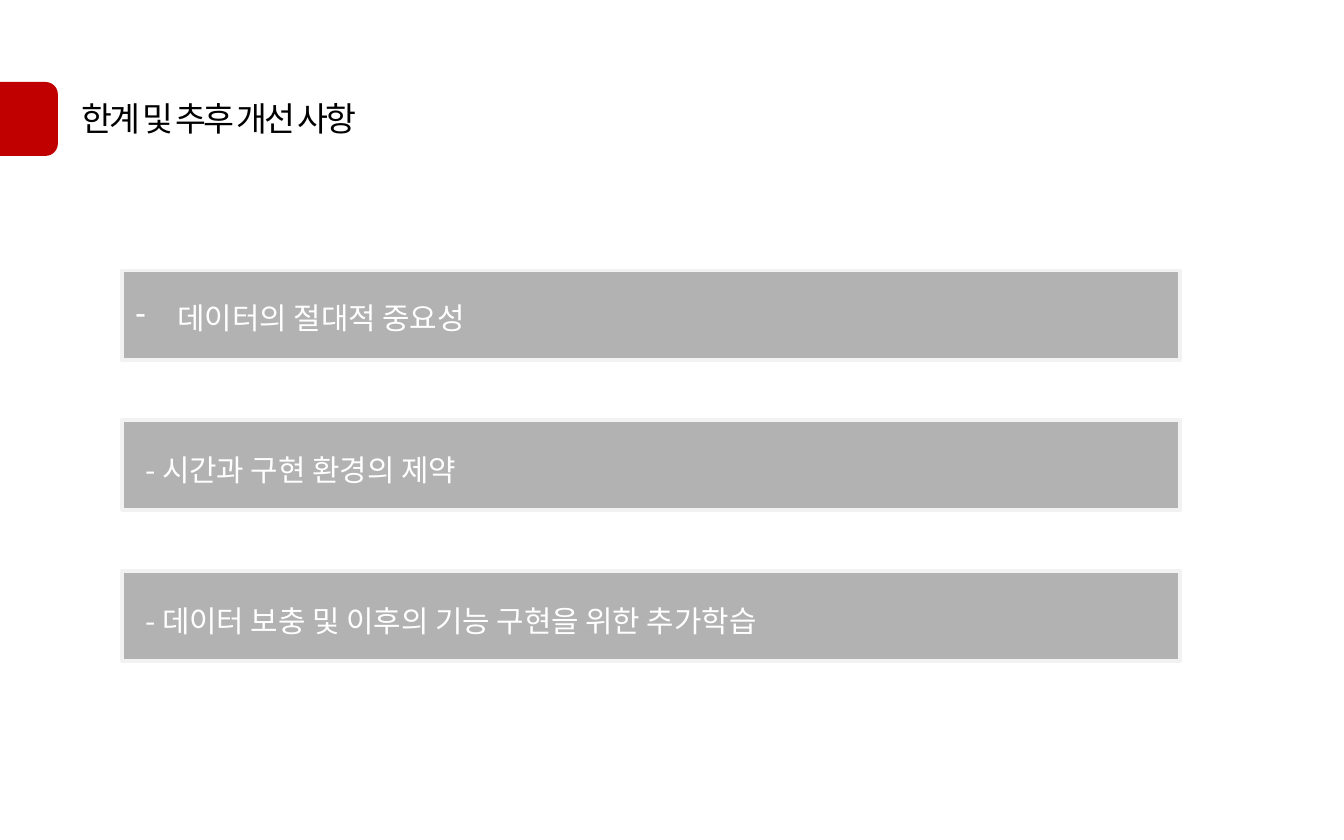
from lxml import etree
from pptx import Presentation
from pptx.dml.color import RGBColor
from pptx.enum.shapes import MSO_SHAPE
from pptx.oxml.ns import qn
from pptx.util import Pt

RECT = MSO_SHAPE.RECTANGLE
ROUND = MSO_SHAPE.ROUNDED_RECTANGLE
FONT = "Noto Sans CJK KR"
COLORS = {"ink": "000000", "edge": "F2F2F2", "white": "FFFFFF", "red": "C00000"}

deck = Presentation()
deck.slide_width, deck.slide_height = Pt(720), Pt(450)
slide = deck.slides.add_slide(deck.slide_layouts[6])


def add_text(text, left, top, width, height, size=16, color="white", space=0, dash=False):
    box = slide.shapes.add_textbox(Pt(left), Pt(top), Pt(width), Pt(height))
    frame = box.text_frame
    frame.word_wrap = True
    para = frame.paragraphs[0]
    if dash:
        props = para._p.get_or_add_pPr()
        props.set("marL", str(Pt(22.5)))
        props.set("indent", str(Pt(-22.5)))
        etree.SubElement(props, qn("a:buFontTx"))
        etree.SubElement(props, qn("a:buChar"), char="-")
    run = para.add_run()
    run.text = text
    run.font.size = Pt(size)
    run.font.name = FONT
    run.font.color.rgb = RGBColor.from_string(COLORS[color])
    props = run.font._element
    etree.SubElement(props, qn("a:ea"), typeface=FONT)
    if space:
        props.set("spc", str(int(space * 100)))


def add_block(kind, left, top, width, height, color, alpha=None, edge=None):
    block = slide.shapes.add_shape(kind, Pt(left), Pt(top), Pt(width), Pt(height))
    block.shadow.inherit = False
    block.fill.solid()
    block.fill.fore_color.rgb = RGBColor.from_string(COLORS[color])
    if alpha:
        tint = block._element.spPr.find(qn("a:solidFill"))[0]
        etree.SubElement(tint, qn("a:alpha"), val=str(alpha * 1000))
    if edge:
        block.line.color.rgb = RGBColor.from_string(COLORS[edge])
        block.line.width = Pt(2)
    else:
        block.line.fill.background()


add_block(ROUND, -8.6, 43.9, 39.6, 39.6, "red")
add_text("한계 및 추후 개선 사항", 36.7, 49, 164.2, 28.8, size=18, color="ink", space=-1.5)

points = [
    ("데이터의 절대적 중요성", 144.9, 65.5, 157, True),
    ("- 시간과 구현 환경의 제약", 225, 70.6, 238.3, False),
    ("- 데이터 보충 및 이후의 기능 구현을 위한 추가학습", 305.8, 70.6, 319.2, False),
]
for text, top, left, line, dash in points:
    add_block(RECT, 65.5, top, 566.6, 48.2, "ink", alpha=30, edge="edge")
    add_text(text, left, line, 550, 26.6, dash=dash)

deck.save("out.pptx")
